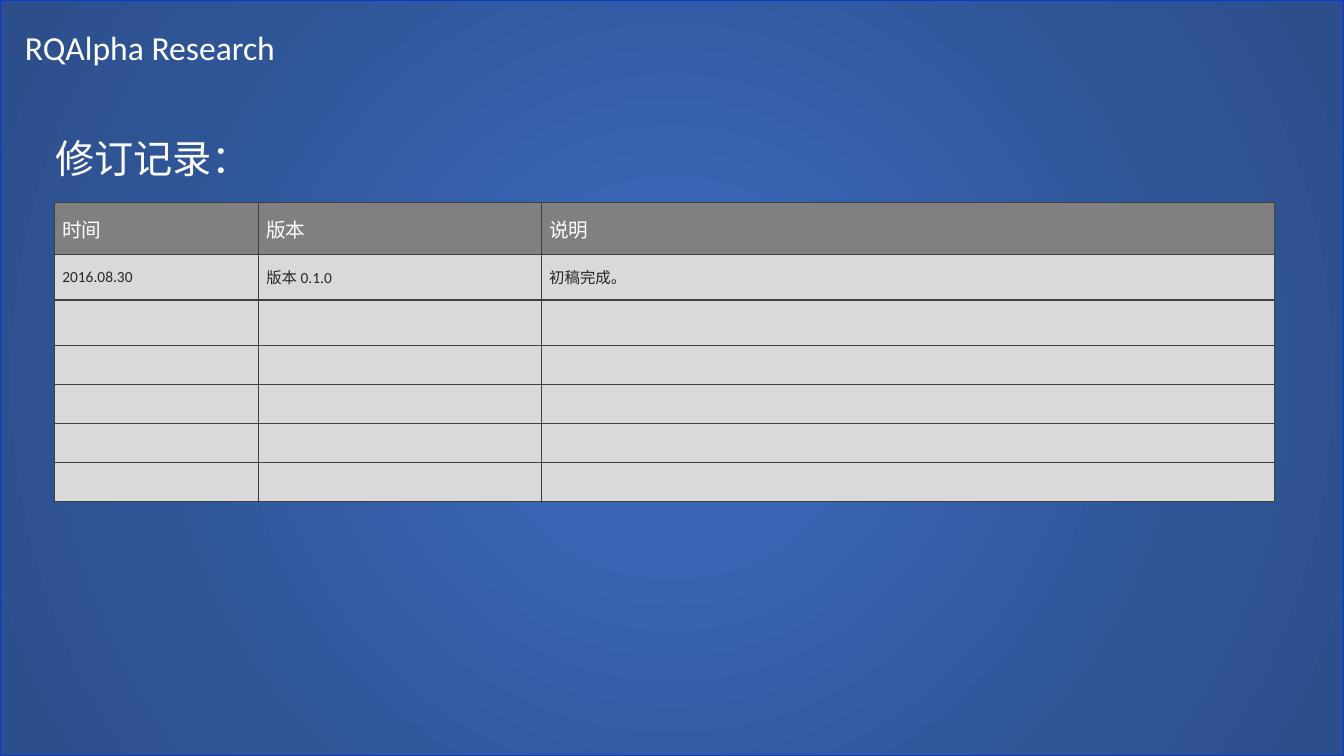
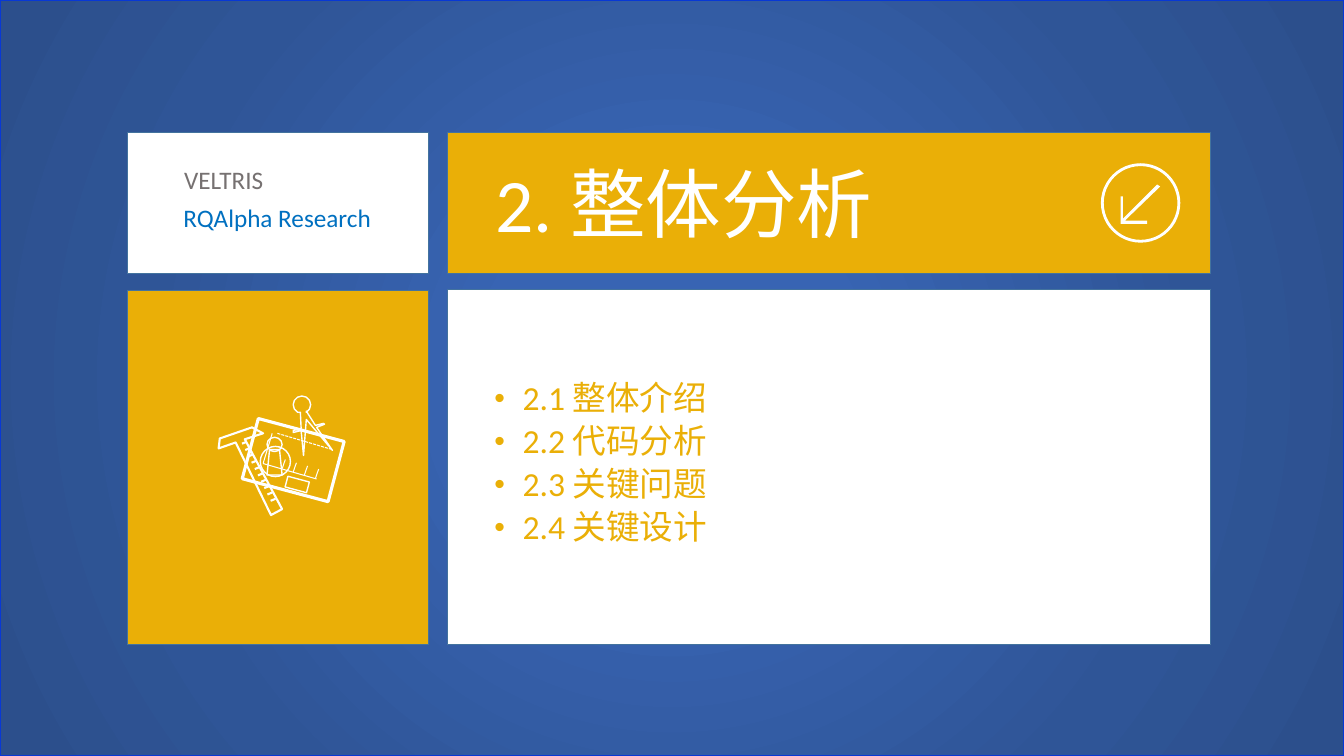
from math import cos, radians, sin

from lxml import etree
from pptx import Presentation
from pptx.dml.color import RGBColor
from pptx.enum.dml import MSO_LINE
from pptx.enum.shapes import MSO_CONNECTOR, MSO_SHAPE
from pptx.enum.text import MSO_ANCHOR, MSO_AUTO_SIZE, PP_ALIGN
from pptx.oxml import parse_xml
from pptx.oxml.ns import nsdecls, qn
from pptx.util import Cm, Pt

RECTANGLE, ELLIPSE, TRAPEZOID = MSO_SHAPE.RECTANGLE, MSO_SHAPE.OVAL, MSO_SHAPE.TRAPEZOID
STRAIGHT, DASHED = MSO_CONNECTOR.STRAIGHT, MSO_LINE.SQUARE_DOT
MIDDLE, CENTER, LEFT = MSO_ANCHOR.MIDDLE, PP_ALIGN.CENTER, PP_ALIGN.LEFT
FIT_SHAPE = MSO_AUTO_SIZE.SHAPE_TO_FIT_TEXT

FONT, BULLET_FONT = "Calibri", "Arial"
PROJECT = "RQAlpha Research"
SLIDE_WIDTH, SLIDE_HEIGHT = 33.87, 19.05
WHITE, GOLD, BLUE, GRAY = "FFFFFF", "EAAF07", "0070C0", "767171"
CARD_EDGE, SLIDE_EDGE, CELL_EDGE = "43739E", "0838D5", "404040"
HEADER_FILL, BODY_FILL, BODY_TEXT = "808080", "D9D9D9", "262626"
GRADIENT = [(0, "3864B3"), (23, "3864B3"), (69, "2F5597"), (97, "2C4F8C")]

COLUMN_WIDTHS = [5.14, 7.13, 18.47]
ROW_HEIGHTS = [1.3, 1.15, 1.15, 0.98, 0.98, 0.98, 0.98]
REVISIONS = [["时间", "版本", "说明"], ["2016.08.30", "版本 0.1.0", "初稿完成。"]]
SECTIONS = ["2.1 整体介绍", "2.2 代码分析", "2.3 关键问题", "2.4 关键设计"]

CARD_EDGES = [(3.21, 7.59), (11.28, 19.23)]
TOP_ROW, LEFT_BOTTOM, RIGHT_BOTTOM = (3.34, 3.55), (7.32, 8.93), (7.29, 8.96)
CARDS = [(1, TOP_ROW, GOLD), (1, RIGHT_BOTTOM, WHITE),
         (0, LEFT_BOTTOM, GOLD), (0, TOP_ROW, WHITE)]

ARROW = [(28.91, 5.56), (28.91, 5.64), (28.24, 5.64), (28.24, 4.95), (28.3, 4.95),
         (28.3, 5.51), (29.16, 4.65), (29.24, 4.7), (28.35, 5.56)]
COMPASS_LEGS = [(7.57, 10.39), (7.59, 10.8), (7.39, 10.85), (7.39, 10.9), (7.59, 10.85),
                (7.65, 11.48), (7.72, 10.57), (8.38, 11.35), (7.98, 10.77),
                (8.18, 10.69), (8.15, 10.67), (7.95, 10.72), (7.72, 10.36)]
T_SQUARE = [(5.94, 11.15), (6.83, 12.98), (7.11, 12.83), (6.17, 11.07),
            (6.63, 10.92), (6.35, 10.77), (5.54, 11.05), (5.51, 11.3)]


def color(value):
    """Return the colour for a hex string."""
    return RGBColor.from_string(value)


def set_format(target, values):
    """Set each named attribute of the target."""
    for name, value in values.items():
        setattr(target, name, value)


def set_outline(shape, line, width):
    """Give a shape an outline, or none."""
    if line is None:
        shape.line.fill.background()
        return
    shape.line.color.rgb = color(line)
    shape.line.width = Pt(width)


def set_style(shape, fill, line, width):
    """Set fill and outline and drop the shadow."""
    shape.shadow.inherit = False
    if fill is None:
        shape.fill.background()
    else:
        shape.fill.solid()
        shape.fill.fore_color.rgb = color(fill)
    set_outline(shape, line, width)


def add_box(shapes, kind, box, fill=None, line=WHITE, width=1, rotation=0):
    """Add a preset shape; box is left, top, width, height in cm."""
    shape = shapes.add_shape(kind, *map(Cm, box))
    shape.rotation = rotation
    set_style(shape, fill, line, width)
    return shape


def add_line(shapes, start, end, width=0.75, dash=None):
    """Add a white straight line."""
    connector = shapes.add_connector(STRAIGHT, *map(Cm, start + end))
    set_outline(connector, WHITE, width)
    if dash:
        connector.line.dash_style = dash
    etree.SubElement(connector._element.spPr, qn("a:effectLst"))


def add_ticks(shapes, count, start, offset, step, width):
    """Add equally spaced parallel lines."""
    for index in range(count):
        x, y = (start[axis] + index * step[axis] for axis in (0, 1))
        add_line(shapes, (x, y), (x + offset[0], y + offset[1]), width)


def add_outline(shapes, points, fill=None, line=WHITE, width=1):
    """Add a closed freeform."""
    corners = [(Cm(x), Cm(y)) for x, y in points]
    builder = shapes.build_freeform(*corners[0], scale=1.0)
    builder.add_line_segments(corners[1:], close=True)
    set_style(builder.convert_to_shape(), fill, line, width)


def arc_points(center, radius, start, end, count):
    """Return points along a circular arc."""
    angles = [radians(start + (end - start) * i / count) for i in range(count + 1)]
    return [(center[0] + radius * cos(a), center[1] + radius * sin(a)) for a in angles]


def write_text(paragraph, text, size, text_color):
    """Write one formatted run."""
    run = paragraph.add_run()
    run.text = text
    set_format(run.font, {"name": FONT, "size": Pt(size)})
    run.font.color.rgb = color(text_color)


def add_text(slide, box, lines, size, text_color, align=LEFT):
    """Add a text box with one paragraph per line."""
    frame = slide.shapes.add_textbox(*map(Cm, box)).text_frame
    set_format(frame, {"word_wrap": True, "auto_size": FIT_SHAPE})
    for index, line in enumerate(lines):
        paragraph = frame.add_paragraph() if index else frame.paragraphs[0]
        paragraph.alignment = align
        write_text(paragraph, line, size, text_color)
    return frame


def add_bullets(slide, box, lines, size, text_color):
    """Add a bulleted list."""
    frame = add_text(slide, box, lines, size, text_color)
    sides = ("left", "top", "right", "bottom")
    set_format(frame, {f"margin_{side}": Cm(0.18) for side in sides})
    for paragraph in frame.paragraphs:
        set_format(paragraph, {"line_spacing": 0.9, "space_before": Pt(size * 0.2)})
        properties = paragraph._p.get_or_add_pPr()
        properties.set("marL", str(Cm(0.71)))
        properties.set("indent", str(-Cm(0.71)))
        etree.SubElement(properties, qn("a:buSzPct")).set("val", "90000")
        etree.SubElement(properties, qn("a:buFont")).set("typeface", BULLET_FONT)
        etree.SubElement(properties, qn("a:buChar")).set("char", "•")


def add_background(slide):
    """Cover the slide with the radial blue gradient."""
    shape = add_box(slide.shapes, RECTANGLE, (0, 0, SLIDE_WIDTH, SLIDE_HEIGHT),
                    GRADIENT[0][1], SLIDE_EDGE)
    stops = "".join(f'<a:gs pos="{position * 1000}"><a:srgbClr val="{value}"/></a:gs>'
                    for position, value in GRADIENT)
    gradient = parse_xml(
        f'<a:gradFill {nsdecls("a")} rotWithShape="1"><a:gsLst>{stops}</a:gsLst>'
        '<a:path path="circle"><a:fillToRect l="50000" t="50000" r="50000" b="50000"/>'
        '</a:path></a:gradFill>')
    properties = shape._element.spPr
    properties.replace(properties.find(qn("a:solidFill")), gradient)


def style_cell(cell, fill):
    """Set borders, fill, margins and anchor of a table cell."""
    properties = cell._tc.get_or_add_tcPr()
    for side in "LRTB":
        properties.append(parse_xml(
            f'<a:ln{side} {nsdecls("a")} w="{Pt(1)}"><a:solidFill>'
            f'<a:srgbClr val="{CELL_EDGE}"/></a:solidFill></a:ln{side}>'))
    cell.fill.solid()
    cell.fill.fore_color.rgb = color(fill)
    set_format(cell, {"vertical_anchor": MIDDLE, "margin_left": Cm(0.2),
                      "margin_right": Cm(0.2), "margin_top": Cm(0.1),
                      "margin_bottom": Cm(0.1)})


def add_revision_table(slide):
    """Add the revision table, with spare empty rows."""
    table = slide.shapes.add_table(
        len(ROW_HEIGHTS), len(COLUMN_WIDTHS), Cm(1.37), Cm(5.11),
        Cm(sum(COLUMN_WIDTHS)), Cm(sum(ROW_HEIGHTS))).table
    for column, width in zip(table.columns, COLUMN_WIDTHS):
        column.width = Cm(width)
    for index, (row, height) in enumerate(zip(table.rows, ROW_HEIGHTS)):
        row.height = Cm(height)
        fill, size, text_color = (BODY_FILL, 11, BODY_TEXT) if index else (HEADER_FILL, 14, WHITE)
        for cell in row.cells:
            style_cell(cell, fill)
            cell.text_frame.paragraphs[0].font.size = Pt(size)
        if index < len(REVISIONS):
            for cell, text in zip(row.cells, REVISIONS[index]):
                write_text(cell.text_frame.paragraphs[0], text, size, text_color)


def add_cards(slide):
    """Add the two by two arrangement of cards."""
    for column, (top, height), fill in CARDS:
        left, width = CARD_EDGES[column]
        add_box(slide.shapes, RECTANGLE, (left, top, width, height), fill, CARD_EDGE)


def add_arrow_icon(slide):
    """Add the ringed arrow on the title card."""
    add_box(slide.shapes, ELLIPSE, (27.78, 4.15, 1.93, 1.93), width=2)
    add_outline(slide.shapes, ARROW, WHITE, None)


def add_drafting_icon(slide):
    """Add the group of drawing board, compass and T-square."""
    shapes = slide.shapes.add_group_shape().shapes
    add_box(shapes, ELLIPSE, (6.73, 11.02, 0.38, 0.36))
    body = add_box(shapes, TRAPEZOID, (6.73, 11.33, 0.38, 0.64))
    body.adjustments[0] = 0.17
    add_box(shapes, RECTANGLE, (6.27, 10.81, 2.24, 1.57), width=2.25, rotation=15)
    add_box(shapes, ELLIPSE, (6.56, 11.25, 0.76, 0.76))
    add_box(shapes, RECTANGLE, (7.21, 12.07, 0.56, 0.28), rotation=15)
    corner = (6.63, 11.68)
    add_line(shapes, corner, (7.98, 12.07))
    add_line(shapes, (6.86, 10.92), corner)
    add_line(shapes, (6.99, 10.92), (8.38, 11.33), dash=DASHED)
    add_ticks(shapes, 4, (7.11, 11.81), (0.08, -0.23), (0.28, 0.08), 0.75)
    compass_head = arc_points((7.61, 10.2), 0.22, 60, -240, 10)
    add_outline(shapes, COMPASS_LEGS + compass_head)
    add_outline(shapes, T_SQUARE, width=1.5)
    add_ticks(shapes, 10, (6.22, 11.13), (-0.12, 0.05), (0.08, 0.16), 1.5)


def add_slide(presentation):
    """Add a blank slide with the shared background."""
    slide = presentation.slides.add_slide(presentation.slide_layouts[6])
    add_background(slide)
    return slide


def build_revision_slide(presentation):
    """Build the revision history slide."""
    slide = add_slide(presentation)
    add_text(slide, (0.38, 0.56, 12.8, 1.27), [PROJECT], 24, WHITE)
    add_text(slide, (1.14, 3.27, 29.9, 1.45), ["修订记录："], 28, WHITE)
    add_revision_table(slide)


def build_section_slide(presentation):
    """Build the section opening slide."""
    slide = add_slide(presentation)
    add_cards(slide)
    add_arrow_icon(slide)
    add_text(slide, (12.24, 3.84, 11.81, 2.57), ["2. 整体分析"], 54, WHITE)
    add_bullets(slide, (12.28, 9.44, 16.48, 4.7), SECTIONS, 24, GOLD)
    add_drafting_icon(slide)
    add_text(slide, (3.99, 4.98, 5.99, 1.02), [PROJECT], 18, BLUE, CENTER)
    add_text(slide, (4.39, 4.01, 5.72, 1.02), ["VELTRIS"], 18, GRAY)


def main():
    """Build and save the presentation."""
    presentation = Presentation()
    set_format(presentation, {"slide_width": Cm(SLIDE_WIDTH), "slide_height": Cm(SLIDE_HEIGHT)})
    build_revision_slide(presentation)
    build_section_slide(presentation)
    presentation.save("out.pptx")


main()
